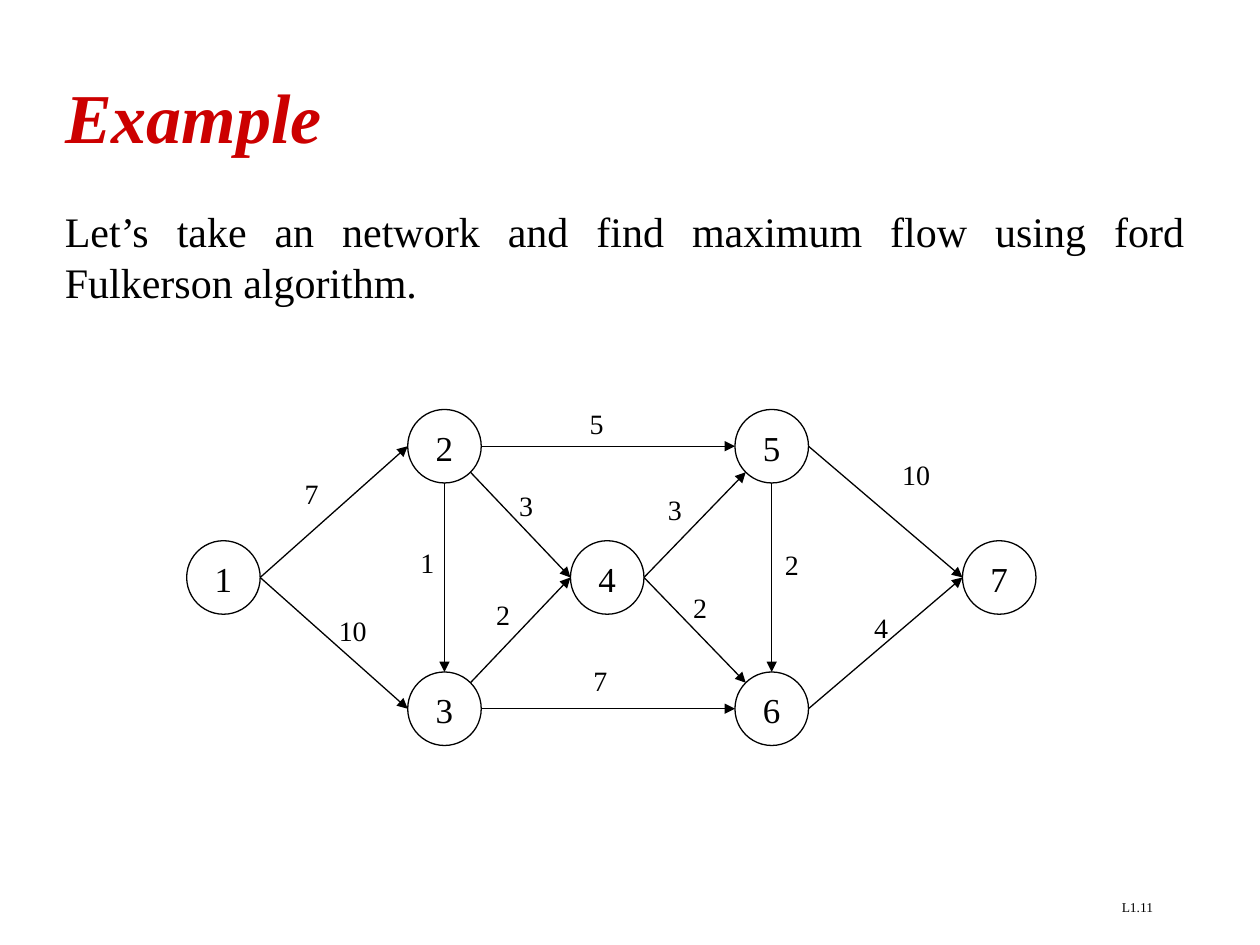
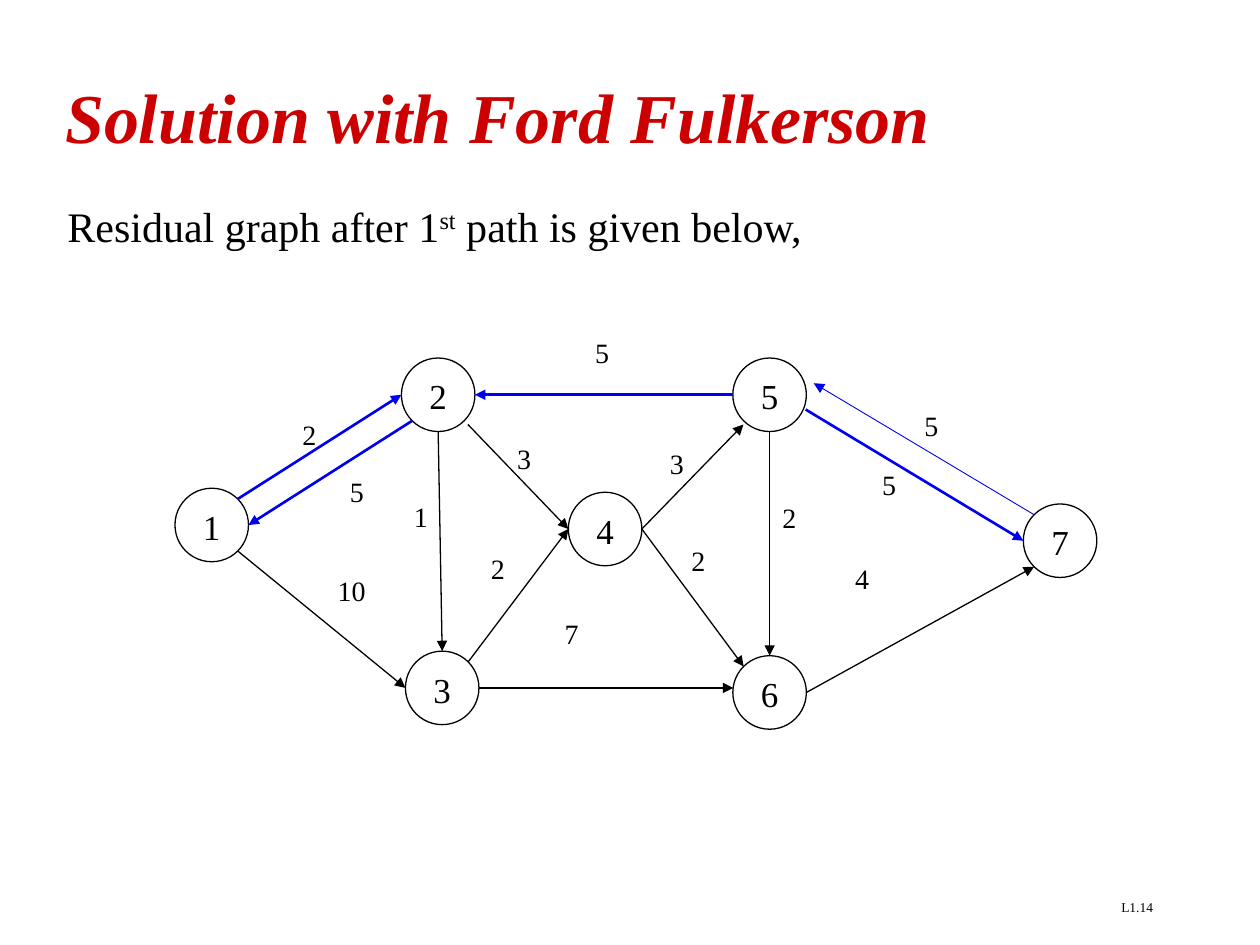
"""Build two slides showing a flow network and its residual graph."""
import math

import lxml.etree
import pptx
import pptx.dml.color
import pptx.enum.shapes
import pptx.enum.text
import pptx.oxml.ns
import pptx.util

Pt = pptx.util.Pt
ALIGN = pptx.enum.text.PP_ALIGN
ANCHOR = pptx.enum.text.MSO_ANCHOR
BLACK = pptx.dml.color.RGBColor(0x00, 0x00, 0x00)
RED = pptx.dml.color.RGBColor(0xCC, 0x00, 0x00)
BLUE = pptx.dml.color.RGBColor(0x00, 0x00, 0xF1)
FONT = "Times New Roman"
RADIUS = 21
ANGLES = {"E": 0, "SE": 45, "S": 90, "SW": 135, "W": 180, "NW": 225, "N": 270, "NE": 315}

NETWORK_NODES = {
    "1": (127.7, 330), "2": (254, 255), "3": (254, 405), "4": (347, 330),
    "5": (441, 255), "6": (441, 405), "7": (571, 330),
}
NETWORK_EDGES = [
    ("1E", "2W"), ("1E", "3W"), ("2E", "5W"), ("3E", "6W"), ("2S", "3N"), ("2SE", "4W"),
    ("3NE", "4W"), ("4E", "5SW"), ("4E", "6NW"), ("5S", "6N"), ("5E", "7W"), ("6E", "7W"),
]
NETWORK_CAPACITIES = [
    ("7", 167, 268.6), ("10", 186.5, 347), ("1", 233.2, 308.2), ("3", 289.6, 275.8),
    ("2", 276.4, 337.7), ("5", 329.8, 229), ("7", 332, 375.8), ("3", 374.6, 278),
    ("2", 389, 334), ("2", 441.4, 309.6), ("10", 508.4, 257.8), ("4", 492.4, 345.6),
]

RESIDUAL_NODES = {
    "1": (121, 300), "2": (250.4, 225.6), "3": (252.7, 393.1), "4": (345.8, 302.3),
    "5": (439.8, 225.6), "6": (439.8, 395.7), "7": (605.8, 309),
}
RESIDUAL_EDGES = [
    ("1SE", "3W"), ("3E", (419, 393.1)), ("2S", "3N"), ((267.4, 242.6), "4W"), ("3NE", "4W"),
    ("4E", (424.8, 242.6)), ("4E", "6NW"), ("5S", "6N"), ("6E", "7SW"),
]
AUGMENTED_EDGES = [("1NE", "2W"), ("2SW", "1E"), ("5W", "2E"), ((460.4, 234), "7W")]
RETURN_EDGE = ("7NW", (465, 219))
RESIDUAL_CAPACITIES = [
    ("2", 165.7, 235.2), ("10", 185.9, 324), ("1", 229.5, 282), ("3", 288.4, 248.8),
    ("2", 273.4, 311.7), ("5", 333, 188.2), ("7", 315.6, 348.8), ("3", 375.8, 251.7),
    ("2", 388, 306.8), ("2", 440, 282.4), ("5", 497, 263.9), ("4", 481.6, 317.6),
    ("5", 192.8, 267.6), ("5", 521.2, 229.8),
]


class NetworkDeck:
    """Hold the shared style and the slide being drawn."""

    def __init__(self):
        self.presentation = pptx.Presentation()
        self.presentation.slide_width = Pt(720)
        self.presentation.slide_height = Pt(540)
        self.slide = None

    def add_slide(self, title, number):
        self.slide = self.presentation.slides.add_slide(self.presentation.slide_layouts[5])
        shape = self.slide.shapes.title
        shape.left, shape.top, shape.width, shape.height = Pt(30), Pt(30), Pt(672), Pt(72)
        self.fill_text(shape, [title], 40, color=RED, anchor=ANCHOR.MIDDLE, emphasis=True)
        self.text([number], 516, 510, 150, 18, 7.7, ALIGN.RIGHT)

    def fill_text(self, shape, texts, size, align=ALIGN.LEFT, color=BLACK,
                  anchor=ANCHOR.TOP, emphasis=False):
        frame = shape.text_frame
        frame.word_wrap = True
        frame.auto_size = pptx.enum.text.MSO_AUTO_SIZE.NONE
        frame.vertical_anchor = anchor
        paragraph = frame.paragraphs[0]
        paragraph.alignment = align
        for text in texts:
            run = paragraph.add_run()
            run.text = text
            run.font.name = FONT
            run.font.size = Pt(size)
            run.font.bold = run.font.italic = emphasis
            run.font.color.rgb = color
        return paragraph

    def text(self, texts, left, top, width, height, size, align=ALIGN.LEFT):
        box = self.slide.shapes.add_textbox(Pt(left), Pt(top), Pt(width), Pt(height))
        return self.fill_text(box, texts, size, align)

    def node(self, name, center):
        left, top = (value - RADIUS for value in center)
        shape = self.slide.shapes.add_shape(
            pptx.enum.shapes.MSO_SHAPE.OVAL, Pt(left), Pt(top), Pt(2 * RADIUS), Pt(2 * RADIUS))
        shape.shadow.inherit = False
        shape.fill.background()
        shape.line.color.rgb = BLACK
        shape.line.width = Pt(0.75)
        self.fill_text(shape, [name], 20, ALIGN.CENTER)

    def locate(self, nodes, end):
        if isinstance(end, tuple):
            return end
        x, y = nodes[end[0]]
        angle = math.radians(ANGLES[end[1:]])
        return x + RADIUS * math.cos(angle), y + RADIUS * math.sin(angle)

    def arrow(self, nodes, edge, color=BLACK, width=0.75):
        points = [Pt(value) for end in edge for value in self.locate(nodes, end)]
        connector = self.slide.shapes.add_connector(
            pptx.enum.shapes.MSO_CONNECTOR.STRAIGHT, *points)
        connector.line.color.rgb = color
        connector.line.width = Pt(width)
        properties = connector._element.spPr
        outline = properties.find(pptx.oxml.ns.qn("a:ln"))
        lxml.etree.SubElement(outline, pptx.oxml.ns.qn("a:tailEnd"), type="triangle")
        lxml.etree.SubElement(properties, pptx.oxml.ns.qn("a:effectLst"))

    def graph(self, nodes, edges, capacities):
        for name, center in nodes.items():
            self.node(name, center)
        for edge in edges:
            self.arrow(nodes, edge)
        for capacity, left, top in capacities:
            self.text([capacity], left, top, 16 + 9 * len(capacity), 26.6, 16)


def main():
    deck = NetworkDeck()

    deck.add_slide("Example", "L1.11")
    deck.text(["Let’s take an network and find maximum flow using ford Fulkerson algorithm."],
              30, 114, 654, 65, 24, ALIGN.JUSTIFY)
    deck.graph(NETWORK_NODES, NETWORK_EDGES, NETWORK_CAPACITIES)

    deck.add_slide("Solution with Ford Fulkerson", "L1.14")
    statement = deck.text(["Residual graph after 1", "st", " path is given below,"],
                          31.5, 111, 654, 36, 24, ALIGN.JUSTIFY)
    statement.runs[1]._r.get_or_add_rPr().set("baseline", "30000")
    deck.graph(RESIDUAL_NODES, RESIDUAL_EDGES, RESIDUAL_CAPACITIES)
    for edge in AUGMENTED_EDGES:
        deck.arrow(RESIDUAL_NODES, edge, BLUE, 1.5)
    deck.arrow(RESIDUAL_NODES, RETURN_EDGE, BLUE, 0.5)

    deck.presentation.save("out.pptx")


if __name__ == "__main__":
    main()
